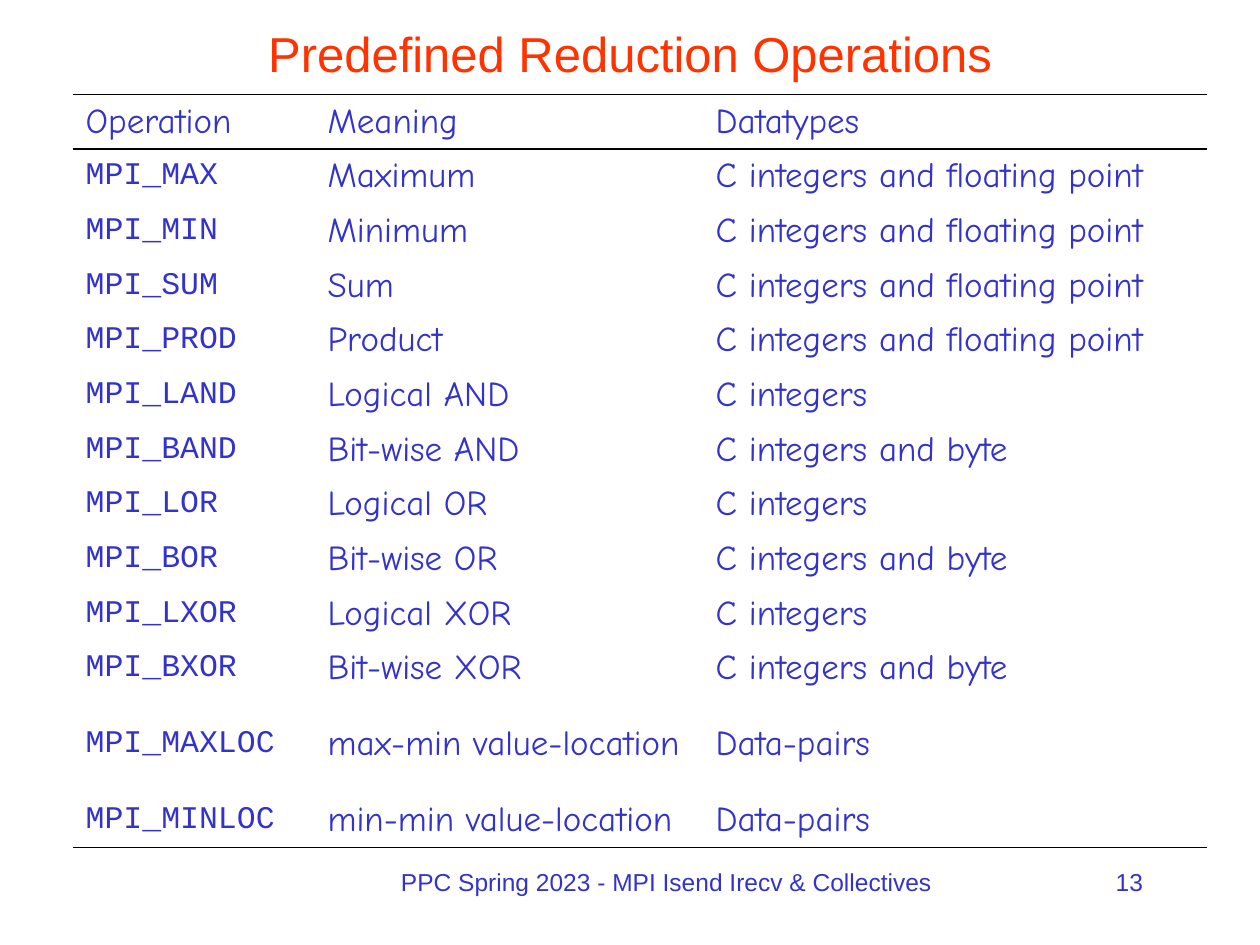
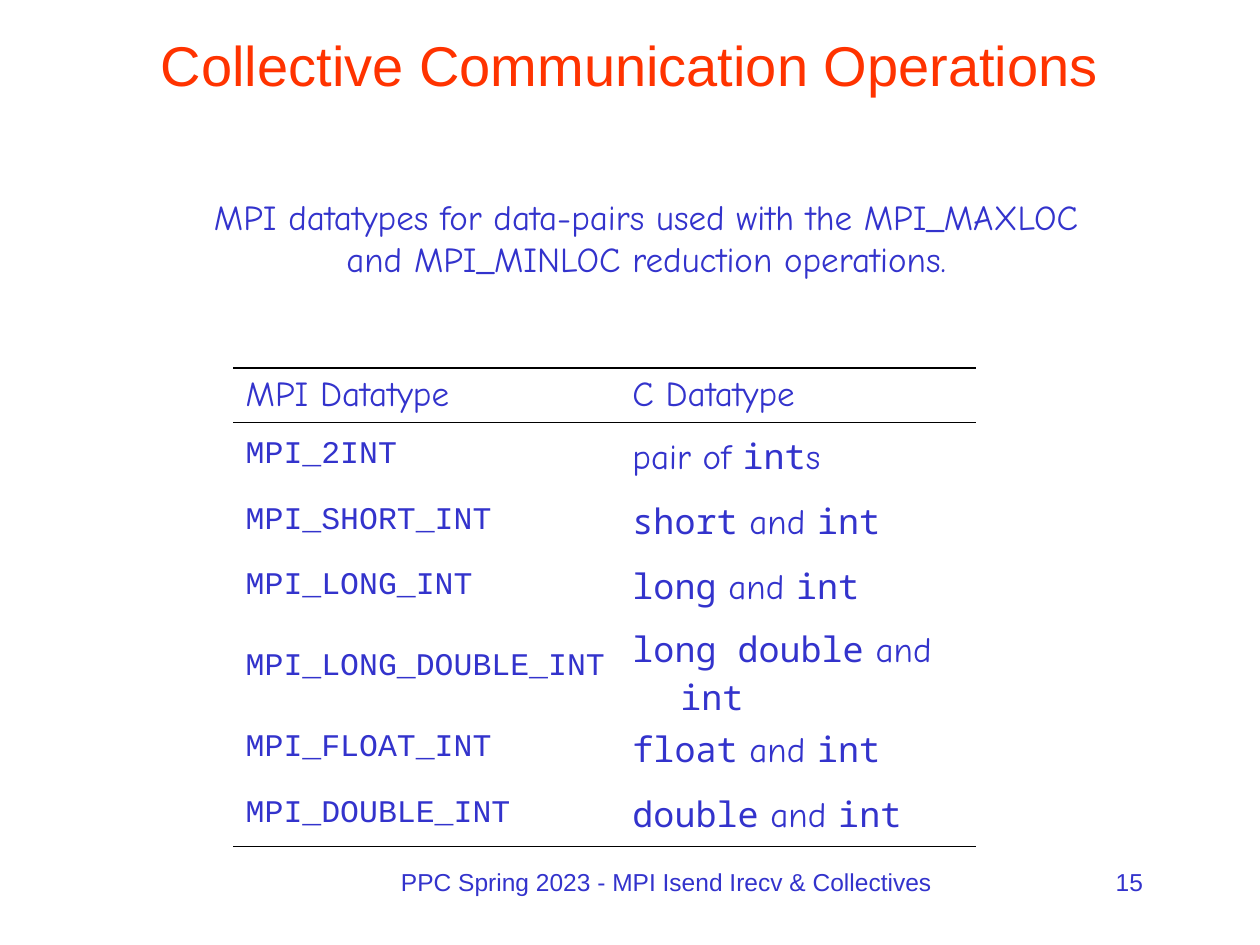
"""Build two slides listing MPI reduction operations and their data-pair types."""
from dataclasses import dataclass
from lxml.etree import SubElement
from pptx import Presentation
from pptx.dml.color import RGBColor
from pptx.enum.text import MSO_ANCHOR, PP_ALIGN
from pptx.oxml.ns import qn
from pptx.util import Inches, Pt


@dataclass(frozen=True)
class Theme:
    ink: str = "3333CC"
    accent: str = "FF3300"
    rule: str = "000000"
    paper: str = "FFFFFF"
    heading_font: str = "Arial"
    body_font: str = "Comic Neue"
    code_font: str = "Courier New"
    mono_font: str = "Noto Sans Mono"
    body_size: int = 20
    code_size: int = 18
    footer_size: int = 14
    rule_width: int = 1
    hanging: float = 0.38


THEME = Theme()
WIDTH, HEIGHT = 10, 7.5
FOOTER = "PPC Spring 2023 - MPI Isend Irecv & Collectives"
NUMBERS = "C integers and floating point"
INTEGERS = "C integers"
BYTES = "C integers and byte"
PAIRS = "Data-pairs"

OPERATIONS = [
    ("Operation", "Meaning", "Datatypes"),
    ("MPI_MAX", "Maximum", NUMBERS),
    ("MPI_MIN", "Minimum", NUMBERS),
    ("MPI_SUM", "Sum", NUMBERS),
    ("MPI_PROD", "Product", NUMBERS),
    ("MPI_LAND", "Logical AND", INTEGERS),
    ("MPI_BAND", "Bit-wise AND", BYTES),
    ("MPI_LOR", "Logical OR", INTEGERS),
    ("MPI_BOR", "Bit-wise OR", BYTES),
    ("MPI_LXOR", "Logical XOR", INTEGERS),
    ("MPI_BXOR", "Bit-wise XOR", BYTES),
    ("MPI_MAXLOC", "max-min value-location", PAIRS),
    ("MPI_MINLOC", "min-min value-location", PAIRS),
]
DATATYPES = [
    ("MPI Datatype", "C Datatype"),
    ("MPI_2INT", "pair of `int`s"),
    ("MPI_SHORT_INT", "`short` and `int`"),
    ("MPI_LONG_INT", "`long` and `int`"),
    ("MPI_LONG_DOUBLE_INT", "`long double` and `int`"),
    ("MPI_FLOAT_INT", "`float` and `int`"),
    ("MPI_DOUBLE_INT", "`double` and `int`"),
]
PAIR_NOTE = ("MPI datatypes for data-pairs used with the MPI_MAXLOC "
             "and MPI_MINLOC reduction operations.")

SLIDES = [
    dict(title="Predefined Reduction Operations", title_size=28, title_height=0.5,
         number=13, note=None, rows=OPERATIONS, left=0.58, top=0.75,
         columns=(1.92, 3.08, 4), header_height=5.2 / 12, row_height=5.2 / 12,
         tall_rows={11: 0.77}),
    dict(title="Collective Communication Operations", title_size=32, title_height=0.67,
         number=15, note=PAIR_NOTE, rows=DATATYPES, left=1.85, top=2.92,
         columns=(3.07, 2.83), header_height=0.43, row_height=0.52, tall_rows={}),
]


def style_span(span, font, size, color=THEME.ink):
    span.font.name = font
    span.font.size = Pt(size)
    span.font.color.rgb = RGBColor.from_string(color)


def add_text(page, place, text, font, size, align, color=THEME.ink, anchor=MSO_ANCHOR.TOP):
    frame = page.shapes.add_textbox(*map(Inches, place)).text_frame
    frame.word_wrap = True
    frame.vertical_anchor = anchor
    frame.text = text
    para = frame.paragraphs[0]
    para.alignment = align
    style_span(para.runs[0], font, size, color)


def set_borders(cell, ruled_edges):
    properties = cell._tc.get_or_add_tcPr()
    for edge in "LRTB":
        line = SubElement(properties, qn(f"a:ln{edge}"), w=str(Pt(THEME.rule_width)))
        if edge in ruled_edges:
            fill = SubElement(line, qn("a:solidFill"))
            SubElement(fill, qn("a:srgbClr"), val=THEME.rule)
        else:
            SubElement(line, qn("a:noFill"))


def fill_cell(cell, text, is_code, ruled_edges):
    set_borders(cell, ruled_edges)
    cell.fill.background()
    cell.vertical_anchor = MSO_ANCHOR.MIDDLE
    para = cell.text_frame.paragraphs[0]
    indent = para._p.get_or_add_pPr()
    indent.set("marL", str(Inches(THEME.hanging)))
    indent.set("indent", str(-Inches(THEME.hanging)))
    for position, part in enumerate(text.split("`")):
        if part:
            span = para.add_run()
            span.text = part
            if is_code:
                style_span(span, THEME.code_font, THEME.code_size)
            else:
                font = THEME.mono_font if position % 2 else THEME.body_font
                style_span(span, font, THEME.body_size)


def add_ruled_table(page, content):
    rows, columns = content["rows"], content["columns"]
    heights = [content["header_height"]] + [content["row_height"]] * (len(rows) - 1)
    for index, height in content["tall_rows"].items():
        heights[index] = height
    place = (content["left"], content["top"], sum(columns), sum(heights))
    table = page.shapes.add_table(len(rows), len(columns), *map(Inches, place)).table
    table.first_row = table.horz_banding = False
    for column, width in zip(table.columns, columns):
        column.width = Inches(width)
    edges = {0: "TB", 1: "T", len(rows) - 1: "B"}
    for row_index, (row, height) in enumerate(zip(rows, heights)):
        table.rows[row_index].height = Inches(height)
        for column_index, text in enumerate(row):
            fill_cell(table.cell(row_index, column_index), text,
                      row_index > 0 and column_index == 0, edges.get(row_index, ""))


def add_page(deck, content):
    page = deck.slides.add_slide(deck.slide_layouts[6])
    page.background.fill.solid()
    page.background.fill.fore_color.rgb = RGBColor.from_string(THEME.paper)
    add_text(page, (2.58, 6.83, 5.42, 0.5), FOOTER, THEME.heading_font,
             THEME.footer_size, PP_ALIGN.CENTER)
    add_text(page, (8.17, 6.83, 1, 0.5), str(content["number"]), THEME.heading_font,
             THEME.footer_size, PP_ALIGN.RIGHT)
    add_text(page, (0.75, 0.17, 0.85 * WIDTH, content["title_height"]), content["title"],
             THEME.heading_font, content["title_size"], PP_ALIGN.CENTER,
             THEME.accent, MSO_ANCHOR.MIDDLE)
    if content["note"]:
        add_text(page, (1.42, 0.2 * HEIGHT, 7.42, 1.1), content["note"],
                 THEME.body_font, THEME.body_size, PP_ALIGN.CENTER)
    add_ruled_table(page, content)


deck = Presentation()
deck.slide_width, deck.slide_height = Inches(WIDTH), Inches(HEIGHT)
for slide_content in SLIDES:
    add_page(deck, slide_content)
deck.save("out.pptx")
